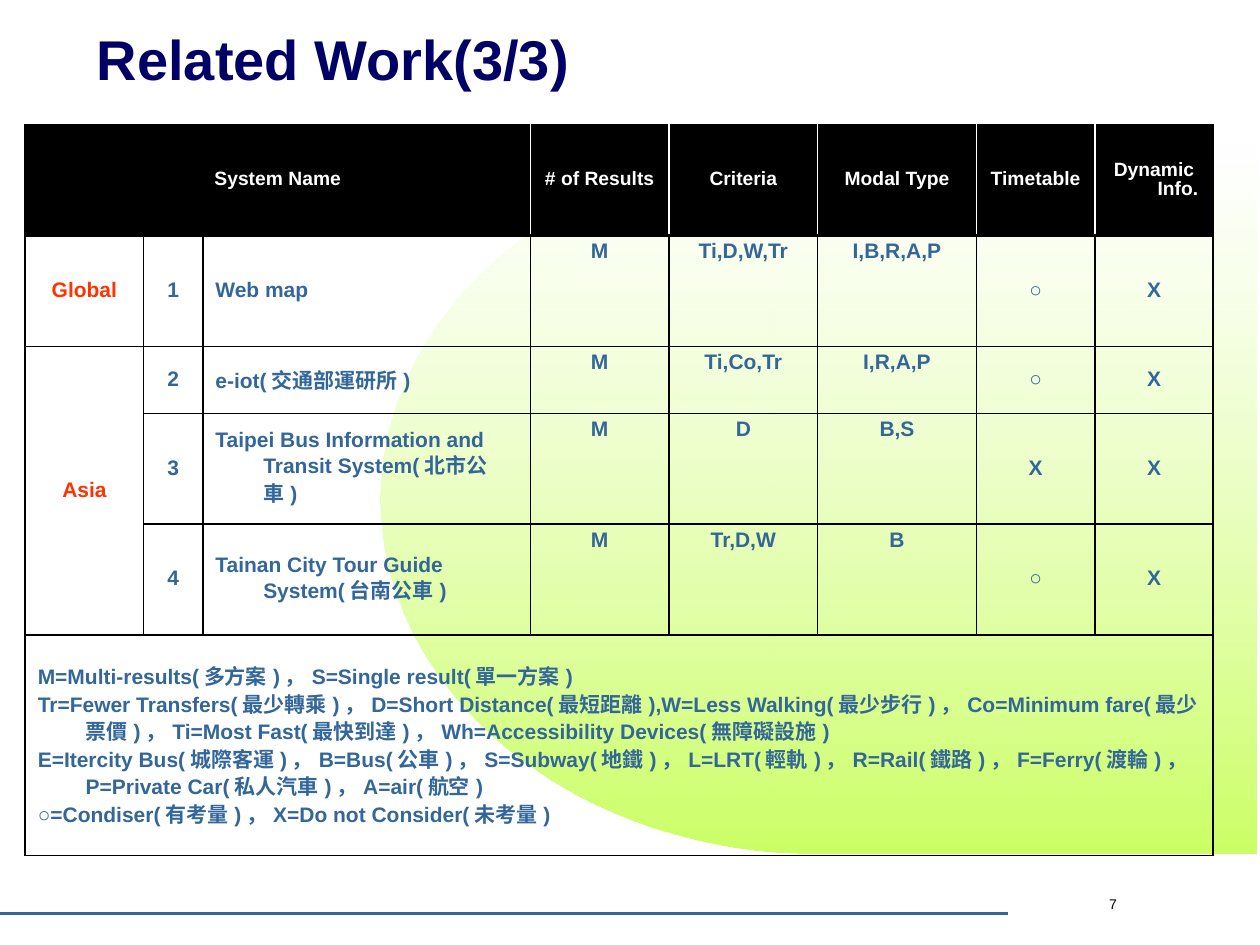
import dataclasses

import lxml.etree
import pptx
import pptx.dml.color
import pptx.enum.dml
import pptx.enum.shapes
import pptx.enum.text
import pptx.oxml.ns
import pptx.util

Inches = pptx.util.Inches
Pt = pptx.util.Pt
RGB = pptx.dml.color.RGBColor.from_string
Align = pptx.enum.text.PP_ALIGN
Anchor = pptx.enum.text.MSO_ANCHOR
qn = pptx.oxml.ns.qn


@dataclasses.dataclass(frozen=True)
class Theme:
    font: str = "Arial"
    white: str = "FFFFFF"
    black: str = "000000"
    navy: str = "000066"
    blue: str = "336699"
    red: str = "FF3300"
    lime: str = "CCFF66"
    title_size: int = 32
    header_size: int = 11
    body_size: int = 12
    number_size: int = 8
    rule_width: float = 2.25
    border_width: float = 1


THEME = Theme()

COLUMN_WIDTHS = [0.94, 0.47, 2.6, 1.1, 1.18, 1.26, 0.94, 0.94]
ROW_HEIGHTS = [0.88, 0.88, 0.53, 0.88, 0.88, 1.75]
NAME_COLUMN = 2
TOP_COLUMNS = (3, 4, 5)

HEADER = ["System Name", "", "", "# of Results", "Criteria", "Modal Type",
          "Timetable", "Dynamic Info."]
SYSTEMS = [
    ["Global", "1", "Web map", "M", "Ti,D,W,Tr", "I,B,R,A,P", "○", "X"],
    ["Asia", "2", "e-iot(交通部運研所)", "M", "Ti,Co,Tr", "I,R,A,P", "○", "X"],
    ["", "3", "Taipei Bus Information and Transit System(北市公車)",
     "M", "D", "B,S", "X", "X"],
    ["", "4", "Tainan City Tour Guide System(台南公車)",
     "M", "Tr,D,W", "B", "○", "X"],
]
LEGEND = [
    "M=Multi-results(多方案)，S=Single result(單一方案)",
    "Tr=Fewer Transfers(最少轉乘)，D=Short Distance(最短距離),W=Less Walking(最少步行)，"
    "Co=Minimum fare(最少票價)，Ti=Most Fast(最快到達)，Wh=Accessibility Devices(無障礙設施)",
    "E=Itercity Bus(城際客運)，B=Bus(公車)，S=Subway(地鐵)，L=LRT(輕軌)，R=Rail(鐵路)，"
    "F=Ferry(渡輪)，P=Private Car(私人汽車)，A=air(航空)",
    "○=Condiser(有考量)，X=Do not Consider(未考量)",
]


def apply_format(target, values):
    for name, value in values.items():
        setattr(target, name, value)


def write_paragraphs(frame, lines, size, color, bold=True, align=Align.LEFT,
                     hanging=0, spacing=None):
    for index, line in enumerate(lines):
        paragraph = frame.add_paragraph() if index else frame.paragraphs[0]
        run = paragraph.add_run()
        run.text = line
        apply_format(paragraph, {"alignment": align, "line_spacing": spacing})
        apply_format(run.font, {"name": THEME.font, "size": Pt(size), "bold": bold})
        run.font.color.rgb = RGB(color)
        if hanging:
            properties = paragraph._p.get_or_add_pPr()
            properties.set("marL", str(Inches(hanging)))
            properties.set("indent", str(-Inches(hanging)))


def add_text(slide, box, line, anchor=Anchor.TOP, **style):
    frame = slide.shapes.add_textbox(*map(Inches, box)).text_frame
    apply_format(frame, {"word_wrap": True, "vertical_anchor": anchor})
    write_paragraphs(frame, [line], **style)


def add_footer_rule(slide):
    rule = slide.shapes.add_connector(
        pptx.enum.shapes.MSO_CONNECTOR.STRAIGHT,
        Inches(0), Inches(7.25), Inches(8), Inches(7.25))
    rule.line.color.rgb = RGB(THEME.blue)
    rule.line.width = Pt(THEME.rule_width)
    lxml.etree.SubElement(rule._element.spPr, qn("a:effectLst"))


def add_backdrop(slide):
    backdrop = slide.shapes.add_shape(
        pptx.enum.shapes.MSO_SHAPE.FLOWCHART_DELAY,
        Inches(3.02), Inches(1.15), Inches(6.95), Inches(5.62))
    backdrop.shadow.inherit = False
    backdrop.line.fill.background()
    backdrop._element.spPr.find(qn("a:xfrm")).set("flipH", "1")
    backdrop.fill.gradient()
    backdrop.fill.gradient_angle = 270
    for stop, color in zip(backdrop.fill.gradient_stops, (THEME.white, THEME.lime)):
        stop.color.rgb = RGB(color)
    fade = backdrop._element.spPr.find(".//" + qn("a:srgbClr"))
    lxml.etree.SubElement(fade, qn("a:alpha")).set("val", "61000")


def set_borders(cell, borders):
    properties = cell._tc.get_or_add_tcPr()
    for index, side in enumerate("LRTB"):
        color, width = borders.get(side, (THEME.black, THEME.border_width))
        line = lxml.etree.Element(qn("a:ln" + side), w=str(Pt(width)))
        fill = lxml.etree.SubElement(line, qn("a:solidFill"))
        lxml.etree.SubElement(fill, qn("a:srgbClr")).set("val", color)
        properties.insert(index, line)


def cell_borders(row, column):
    divider = (THEME.white, THEME.border_width)
    heavy = (THEME.black, THEME.rule_width)
    if row == 0:
        borders = {"B": heavy}
        if column > 0:
            borders["L"] = divider
        if column < len(COLUMN_WIDTHS) - 1:
            borders["R"] = divider
        return borders
    return {"T": heavy} if row == 1 else {}


def fill_cell(cell, row, column, lines):
    is_header, is_legend = row == 0, row == len(ROW_HEIGHTS) - 1
    if is_header:
        cell.fill.solid()
        cell.fill.fore_color.rgb = RGB(THEME.black)
        color = THEME.white
    else:
        cell.fill.background()
        color = THEME.red if column == 0 and not is_legend else THEME.blue
    set_borders(cell, cell_borders(row, column))
    at_top = column in TOP_COLUMNS and not is_header
    cell.vertical_anchor = Anchor.TOP if at_top else Anchor.MIDDLE
    at_left = is_legend or (column == NAME_COLUMN and not is_header)
    if any(lines):
        write_paragraphs(
            cell.text_frame, lines,
            size=THEME.header_size if is_header else THEME.body_size,
            color=color, align=Align.LEFT if at_left else Align.CENTER,
            hanging=0.38, spacing=0.9)


def add_comparison(slide):
    table = slide.shapes.add_table(
        len(ROW_HEIGHTS), len(COLUMN_WIDTHS),
        Inches(0.2), Inches(0.99), Inches(9.45), Inches(5.78)).table
    apply_format(table, {"first_row": False, "horz_banding": False})
    for column, width in zip(table.columns, COLUMN_WIDTHS):
        column.width = Inches(width)
    for row, height in zip(table.rows, ROW_HEIGHTS):
        row.height = Inches(height)
    last_row, last_column = len(ROW_HEIGHTS) - 1, len(COLUMN_WIDTHS) - 1
    for start, end in (((0, 0), (0, 2)), ((2, 0), (4, 0)),
                       ((last_row, 0), (last_row, last_column))):
        table.cell(*start).merge(table.cell(*end))
    content = [[[text] for text in row] for row in [HEADER, *SYSTEMS]]
    content.append([LEGEND] + [[]] * last_column)
    for row, entries in enumerate(content):
        for column, lines in enumerate(entries):
            fill_cell(table.cell(row, column), row, column, lines)


def main():
    presentation = pptx.Presentation()
    apply_format(presentation, {"slide_width": Inches(10), "slide_height": Inches(7.5)})
    slide = presentation.slides.add_slide(presentation.slide_layouts[6])
    slide.background.fill.solid()
    slide.background.fill.fore_color.rgb = RGB(THEME.white)
    add_footer_rule(slide)
    add_backdrop(slide)
    add_text(slide, (0.67, 0.25, 8.82, 0.43), "Related Work(3/3)", Anchor.MIDDLE,
             size=THEME.title_size, color=THEME.navy, hanging=0.5)
    add_text(slide, (7.67, 7.06, 2.33, 0.27), "7", size=THEME.number_size,
             color=THEME.black, bold=False, align=Align.CENTER)
    add_comparison(slide)
    presentation.save("out.pptx")


if __name__ == "__main__":
    main()
